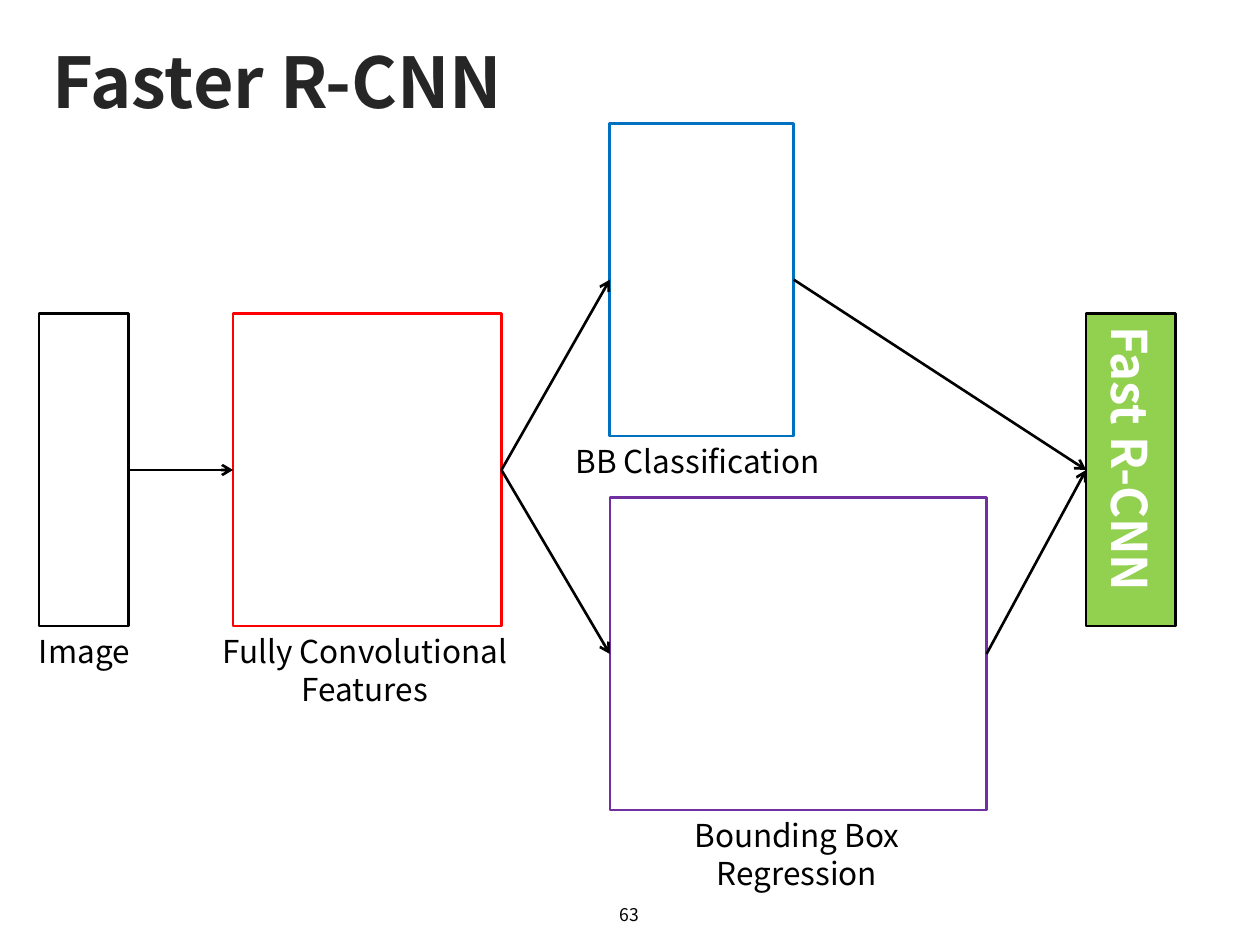
from dataclasses import dataclass
from typing import Any

from lxml import etree
from pptx import Presentation
from pptx.dml.color import RGBColor
from pptx.enum.shapes import MSO_CONNECTOR, MSO_SHAPE
from pptx.enum.text import MSO_ANCHOR, PP_ALIGN
from pptx.oxml.ns import qn
from pptx.util import Inches, Pt

RECT = MSO_SHAPE.RECTANGLE
LINE = MSO_CONNECTOR.STRAIGHT
LEFT, MID = PP_ALIGN.LEFT, PP_ALIGN.CENTER
TOP, CORE = MSO_ANCHOR.TOP, MSO_ANCHOR.MIDDLE
FACE = "Noto Sans CJK KR"
BLACK = "000000"
TALL = 2.48
WEST, EAST = 1, 3


@dataclass
class Block:
    key: str
    left: float
    top: float
    width: float
    edge: str = BLACK
    fill: str = ""


@dataclass
class Label:
    text: str
    left: float
    top: float
    width: float
    height: float
    size: int = 18
    color: str = BLACK
    bold: bool = False
    align: Any = MID
    anchor: Any = TOP


BLOCKS = [
    Block("image", 0.31, 2.49, 0.71),
    Block("features", 1.85, 2.49, 2.13, "FF0000"),
    Block("class", 4.84, 0.98, 1.46, "0070C0"),
    Block("bounds", 4.84, 3.95, 2.99, "7030A0"),
    Block("fast", 8.62, 2.49, 0.71, BLACK, "92D050"),
]
LABELS = [
    Label("Faster R-CNN", 0.32, 0.28, 9.38, 0.72, 40, "262626", True, LEFT, CORE),
    Label("63", 3.83, 7.06, 2.33, 0.4, 10, anchor=CORE),
    Label("Image", 0.2, 4.97, 0.94, 0.4),
    Label("Fully Convolutional Features", 1.44, 4.97, 2.91, 0.71),
    Label("Bounding Box Regression", 4.87, 6.43, 2.91, 0.71),
    Label("BB Classification", 4.45, 3.46, 2.17, 0.4),
]
LINKS = [
    ("image", "features"),
    ("features", "class"),
    ("features", "bounds"),
    ("class", "fast"),
    ("bounds", "fast"),
]


def paint(hue: str) -> RGBColor:
    return RGBColor.from_string(hue)


def write(frame: Any, text: str, size: int, hue: str, bold: bool,
          align: Any, anchor: Any) -> None:
    frame.word_wrap = True
    frame.vertical_anchor = anchor
    para = frame.paragraphs[0]
    para.alignment = align
    run = para.add_run()
    run.text = text
    form = {"name": FACE, "size": Pt(size), "bold": bold}
    for key, value in form.items():
        setattr(run.font, key, value)
    run.font.color.rgb = paint(hue)
    etree.SubElement(run.font._element, qn("a:ea"), typeface=FACE)


def add_block(slide: Any, block: Block) -> Any:
    spots = (block.left, block.top, block.width, TALL)
    shape = slide.shapes.add_shape(RECT, *map(Inches, spots))
    shape.shadow.inherit = False
    if block.fill:
        shape.fill.solid()
        shape.fill.fore_color.rgb = paint(block.fill)
    else:
        shape.fill.background()
    shape.line.color.rgb = paint(block.edge)
    shape.line.width = Pt(1.5)
    return shape


def add_label(slide: Any, label: Label) -> None:
    spots = (label.left, label.top, label.width, label.height)
    box = slide.shapes.add_textbox(*map(Inches, spots))
    write(box.text_frame, label.text, label.size, label.color,
          label.bold, label.align, label.anchor)


def add_link(slide: Any, start: Any, end: Any) -> None:
    link = slide.shapes.add_connector(LINE, 0, 0, 0, 0)
    link.begin_connect(start, EAST)
    link.end_connect(end, WEST)
    link.line.color.rgb = paint(BLACK)
    link.line.width = Pt(1.5)
    props = link._element.spPr
    etree.SubElement(props.find(qn("a:ln")), qn("a:tailEnd"), type="arrow")
    etree.SubElement(props, qn("a:effectLst"))


def main() -> None:
    deck = Presentation()
    deck.slide_width, deck.slide_height = Inches(10), Inches(7.5)
    slide = deck.slides.add_slide(deck.slide_layouts[6])
    shapes = {block.key: add_block(slide, block) for block in BLOCKS}
    frame = shapes["fast"].text_frame
    write(frame, "Fast R-CNN", 28, "FFFFFF", True, MID, CORE)
    frame.margin_bottom = Inches(0.15)
    frame._txBody.bodyPr.set("vert", "eaVert")
    for label in LABELS:
        add_label(slide, label)
    for start, end in LINKS:
        add_link(slide, shapes[start], shapes[end])
    deck.save("out.pptx")


if __name__ == "__main__":
    main()
